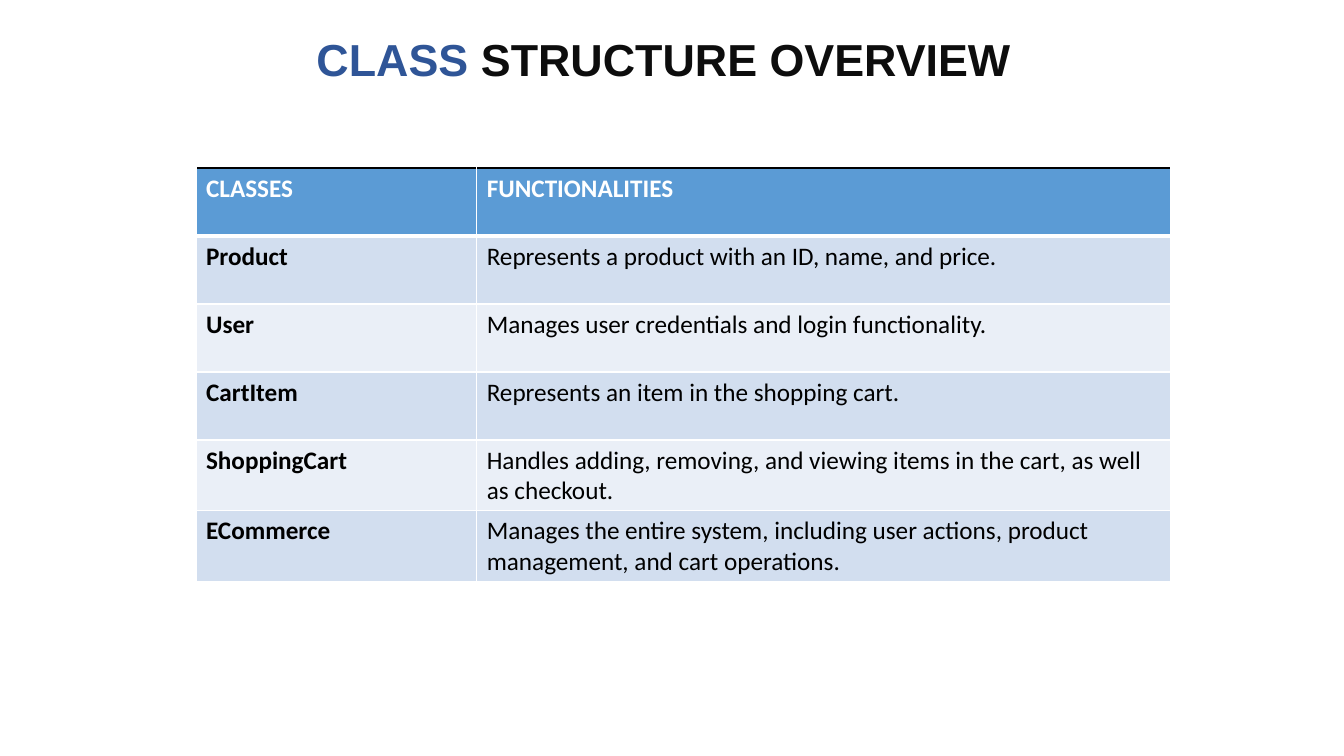
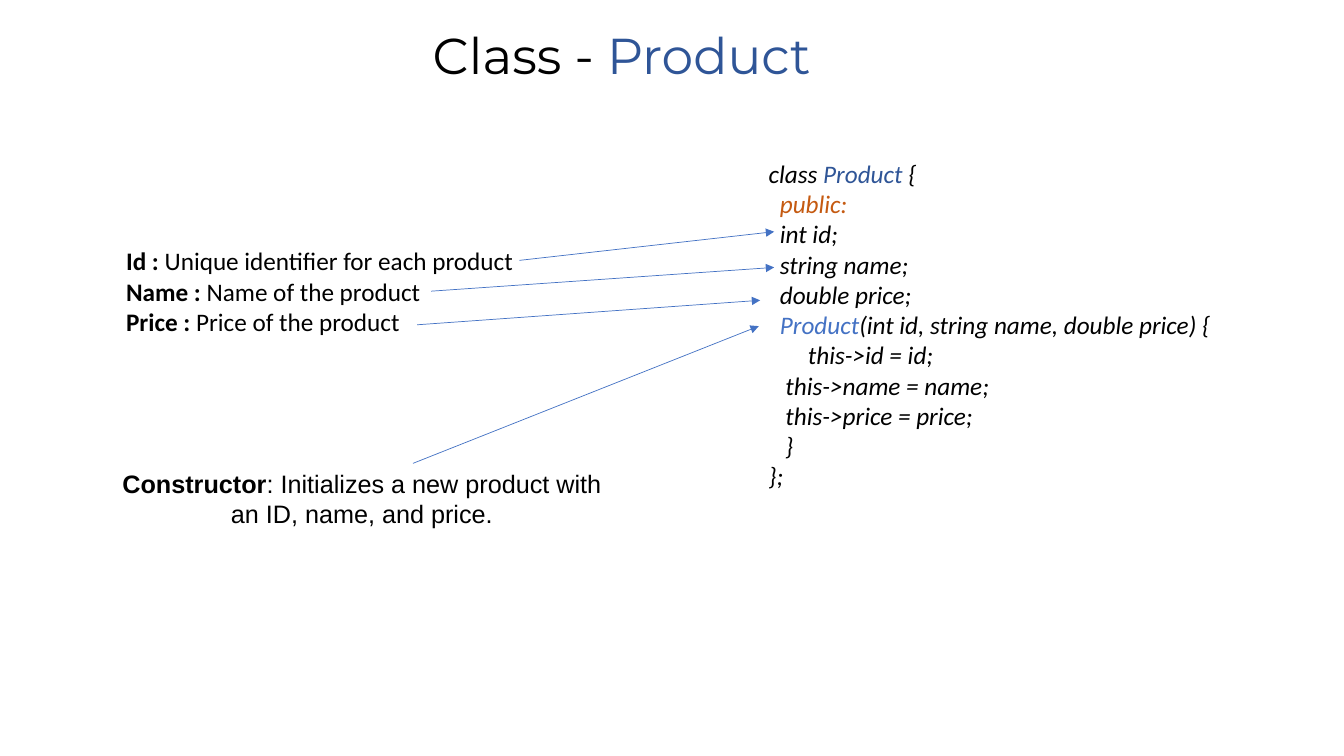
from lxml import etree
from pptx import Presentation
from pptx.dml.color import RGBColor
from pptx.enum.shapes import MSO_CONNECTOR
from pptx.enum.text import MSO_AUTO_SIZE, PP_ALIGN
from pptx.oxml.ns import qn
from pptx.util import Pt

STRAIGHT = MSO_CONNECTOR.STRAIGHT
GROW = MSO_AUTO_SIZE.SHAPE_TO_FIT_TEXT
LEFT, CENTER = PP_ALIGN.LEFT, PP_ALIGN.CENTER
LEFT_SIDE = 1

BLACK, WHITE, INK = "000000", "FFFFFF", "0D0D0D"
NAVY, BLUE, ORANGE = "2F5597", "4472C4", "C55A11"
HEADER_FILL, BANDS = "5B9BD5", ("D2DEEF", "EAEFF7")
BODY_FONT, BODY_SIZE = "Calibri", 18

CLASSES = [
    ("CLASSES", "FUNCTIONALITIES"),
    ("Product", "Represents a product with an ID, name, and price."),
    ("User", "Manages user credentials and login functionality."),
    ("CartItem", "Represents an item in the shopping cart."),
    ("ShoppingCart", "Handles adding, removing, and viewing items in the cart, as well as checkout."),
    ("ECommerce", "Manages the entire system, including user actions, product management, and cart operations."),
]
FIELDS = [
    ("Id : ", "Unique identifier for each product"),
    ("Name : ", "Name of the product"),
    ("Price : ", "Price of the product"),
]
CODE = [
    (0, [("class ", BLACK), ("Product", NAVY), (" {", BLACK)]),
    (8, [("public:", ORANGE)]),
    (8, [("int id;", BLACK)]),
    (8, [("string name;", BLACK)]),
    (8, [("double price;", BLACK)]),
    (8, [("Product", BLUE), ("(int id, string name, double price) {", BLACK)]),
    (28, [("this->id = id;", BLACK)]),
    (12, [("this->name = name;", BLACK)]),
    (12, [("this->price = price;", BLACK)]),
    (12, [("}", BLACK)]),
    (0, [("};", BLACK)]),
]


def rgb(value):
    """Return the colour for a hex string."""
    return RGBColor.from_string(value)


def style_run(r, color, bold=False, italic=False, font=BODY_FONT, size=BODY_SIZE):
    """Set the font of one run."""
    r.font.name, r.font.size = font, Pt(size)
    r.font.bold, r.font.italic = bold, italic
    r.font.color.rgb = rgb(color)


def add_text(s, box, paragraphs, align=LEFT):
    """Add a text box of (indent, [(text, style), ...]) paragraphs."""
    shape = s.shapes.add_textbox(*map(Pt, box))
    tf = shape.text_frame
    tf.word_wrap, tf.auto_size = True, GROW
    for i, (indent, runs) in enumerate(paragraphs):
        p = tf.add_paragraph() if i else tf.paragraphs[0]
        p.alignment = align
        if indent:
            p._p.get_or_add_pPr().set("marL", str(Pt(indent)))
        for text, style in runs:
            r = p.add_run()
            r.text = text
            style_run(r, **style)
    return shape


def add_title(s, box, parts, **style):
    """Add a one-line title from (text, colour) parts."""
    add_text(s, box, [(0, [(text, dict(style, color=color)) for text, color in parts])])


def add_arrow(s, x1, y1, x2, y2):
    """Add a thin blue line with a triangle at its end."""
    line = s.shapes.add_connector(STRAIGHT, Pt(x1), Pt(y1), Pt(x2), Pt(y2))
    line.line.color.rgb = rgb(BLUE)
    line.line.width = Pt(0.5)
    etree.SubElement(line.line._get_or_add_ln(), qn("a:tailEnd"), type="triangle")
    etree.SubElement(line._element.spPr, qn("a:effectLst"))
    return line


def set_border(cell, side, color, width):
    """Draw one side of a cell: L, R, T or B."""
    ln = etree.SubElement(cell._tc.get_or_add_tcPr(), qn("a:ln" + side), w=str(Pt(width)))
    fill = etree.SubElement(ln, qn("a:solidFill"))
    etree.SubElement(fill, qn("a:srgbClr"), val=color)


def class_table(s, x, y, widths, row_height):
    """Add the banded table of classes."""
    size = len(CLASSES), len(widths)
    frame = s.shapes.add_table(*size, Pt(x), Pt(y), Pt(sum(widths)), Pt(row_height * size[0]))
    table = frame.table
    table.first_row = table.horz_banding = False
    for col, width in zip(table.columns, widths):
        col.width = Pt(width)
    for i, texts in enumerate(CLASSES):
        table.rows[i].height = Pt(row_height)
        header = i == 0
        top = (BLACK, 1) if header else (WHITE, 3 if i == 1 else 1)
        bottom = (WHITE, 3 if header else 1)
        for j, text in enumerate(texts):
            cell = table.cell(i, j)
            for side, border in zip("LRTB", ((WHITE, 1), (WHITE, 1), top, bottom)):
                set_border(cell, side, *border)
            cell.fill.solid()
            cell.fill.fore_color.rgb = rgb(HEADER_FILL if header else BANDS[(i - 1) % 2])
            cell.text_frame.text = text
            r = cell.text_frame.paragraphs[0].runs[0]
            style_run(r, WHITE if header else BLACK, bold=header or j == 0)


def product_diagram(s, x, y):
    """Add the member notes, the code and the arrows between them."""
    constructor = [
        ("Constructor", dict(color=BLACK, bold=True, font="Arial")),
        (": Initializes a new product with an ID, name, and price.", dict(color=BLACK, font="Arial")),
    ]
    add_text(s, (x, y + 221.5, 373, 51), [(0, constructor)], CENTER)
    fields = [(0, [(name, dict(color=BLACK, bold=True)), (note, dict(color=BLACK))])
              for name, note in FIELDS]
    add_text(s, (x + 11, y + 62.5, 318, 73), fields)
    code = [(indent, [(text, dict(color=color, italic=True)) for text, color in runs])
            for indent, runs in CODE]
    code_box = add_text(s, (x + 470, y, 341, 247), code)
    for x1, y1, x2, y2 in ((299, 76.5, 481, 56), (236, 98.5, 481, 81.5), (226, 122.5, 471, 105)):
        add_arrow(s, x + x1, y + y1, x + x2, y + y2)
    arrow = add_arrow(s, x + 223, y + 221.5, x + 470, y + 123.5)
    arrow.end_connect(code_box, LEFT_SIDE)


def main():
    """Build and save the presentation."""
    prs = Presentation()
    prs.slide_width, prs.slide_height = Pt(960), Pt(540)
    blank = prs.slide_layouts[6]

    s = prs.slides.add_slide(blank)
    add_title(s, (219, 19, 534, 46), [("CLASS", NAVY), (" STRUCTURE OVERVIEW", INK)],
              font="Arial", size=32, bold=True)
    class_table(s, 140, 120, (200.5, 496), 48.6)

    s = prs.slides.add_slide(blank)
    add_title(s, (302, 14, 447, 51), [("Class - ", BLACK), ("Product", NAVY)],
              font="Montserrat", size=36)
    product_diagram(s, 72, 109.5)

    prs.save("out.pptx")


if __name__ == "__main__":
    main()
